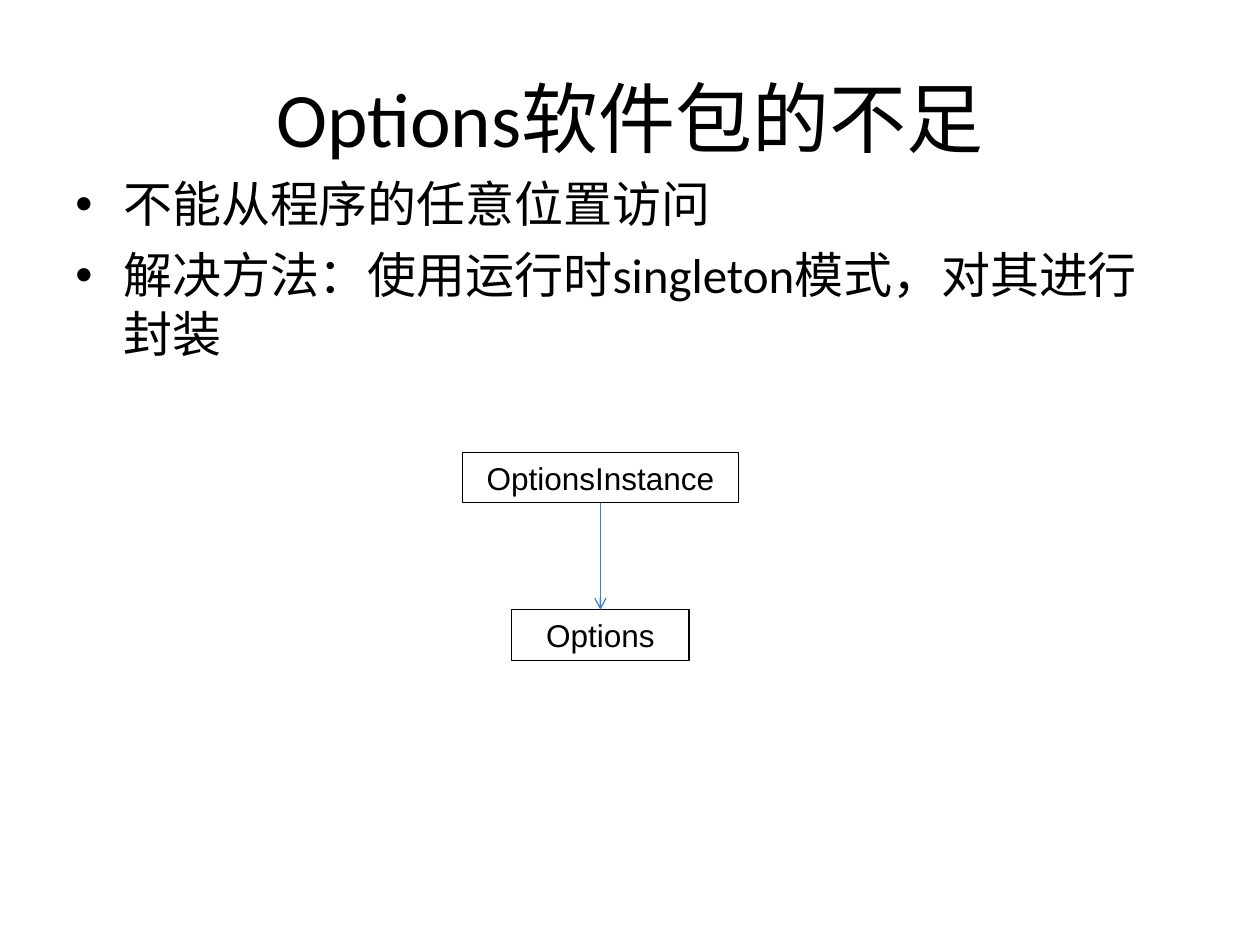
from lxml import etree
from pptx import Presentation
from pptx.dml.color import RGBColor
from pptx.enum.shapes import MSO_CONNECTOR, MSO_SHAPE
from pptx.enum.text import MSO_ANCHOR, PP_ALIGN
from pptx.oxml.ns import qn
from pptx.util import Inches, Pt

COLORS = {"text": "000000", "border": "000000", "arrow": "4A7EBB"}
MID = 4.765  # shared centre line of the diagram
BOX_H = 0.4


def color(name):
    return RGBColor.from_string(COLORS[name])


def style(para, size, font):
    for run in para.runs:
        run.font.size = Pt(size)
        run.font.name = font
        run.font.color.rgb = color("text")


def set_title(slide, text):
    title = slide.shapes.title
    title.left, title.top = Inches(0.5), Inches(0.3)
    title.width, title.height = Inches(9), Inches(1.25)
    frame = title.text_frame
    frame.text = text
    frame.vertical_anchor = MSO_ANCHOR.MIDDLE
    para = frame.paragraphs[0]
    para.alignment = PP_ALIGN.CENTER
    style(para, 44, "Calibri")


def add_bullets(slide, items):
    box = slide.shapes.add_textbox(
        Inches(0.5), Inches(1.33), Inches(9), Inches(1.72))
    frame = box.text_frame
    frame.word_wrap = True
    frame.text = "\n".join(items)
    for para in frame.paragraphs:
        para.space_before = Pt(7)
        style(para, 28, "Calibri")
        # Hanging bullet
        props = para._p.get_or_add_pPr()
        props.set("marL", str(Inches(0.38)))
        props.set("indent", str(-Inches(0.38)))
        etree.SubElement(props, qn("a:buFont"), typeface="Arial")
        etree.SubElement(props, qn("a:buChar"), char="•")


def add_box(slide, text, top, width):
    box = slide.shapes.add_shape(
        MSO_SHAPE.RECTANGLE, Inches(MID - width / 2), Inches(top),
        Inches(width), Inches(BOX_H))
    box.shadow.inherit = False
    box.fill.background()
    box.line.color.rgb = color("border")
    box.line.width = Pt(0.75)
    frame = box.text_frame
    frame.text = text
    frame.vertical_anchor = MSO_ANCHOR.TOP
    para = frame.paragraphs[0]
    para.alignment = PP_ALIGN.CENTER
    style(para, 18, "Arial")
    return box


def add_arrow(slide, upper, lower):
    arrow = slide.shapes.add_connector(MSO_CONNECTOR.STRAIGHT, 0, 0, 0, 0)
    arrow.begin_connect(upper, 2)
    arrow.end_connect(lower, 0)
    arrow.line.color.rgb = color("arrow")
    arrow.line.width = Pt(0.75)
    line = arrow.line._get_or_add_ln()
    etree.SubElement(line, qn("a:tailEnd"), type="arrow")
    etree.SubElement(arrow._element.spPr, qn("a:effectLst"))


def main():
    deck = Presentation()
    deck.slide_width, deck.slide_height = Inches(10), Inches(7.5)
    slide = deck.slides.add_slide(deck.slide_layouts[5])

    # Heading and points
    set_title(slide, "Options软件包的不足")
    add_bullets(slide, [
        "不能从程序的任意位置访问",
        "解决方法：使用运行时singleton模式，对其进行封装",
    ])

    # Class diagram
    wrapper = add_box(slide, "OptionsInstance", 3.59, 2.19)
    options = add_box(slide, "Options", 4.84, 1.41)
    add_arrow(slide, wrapper, options)

    deck.save("out.pptx")


if __name__ == "__main__":
    main()
